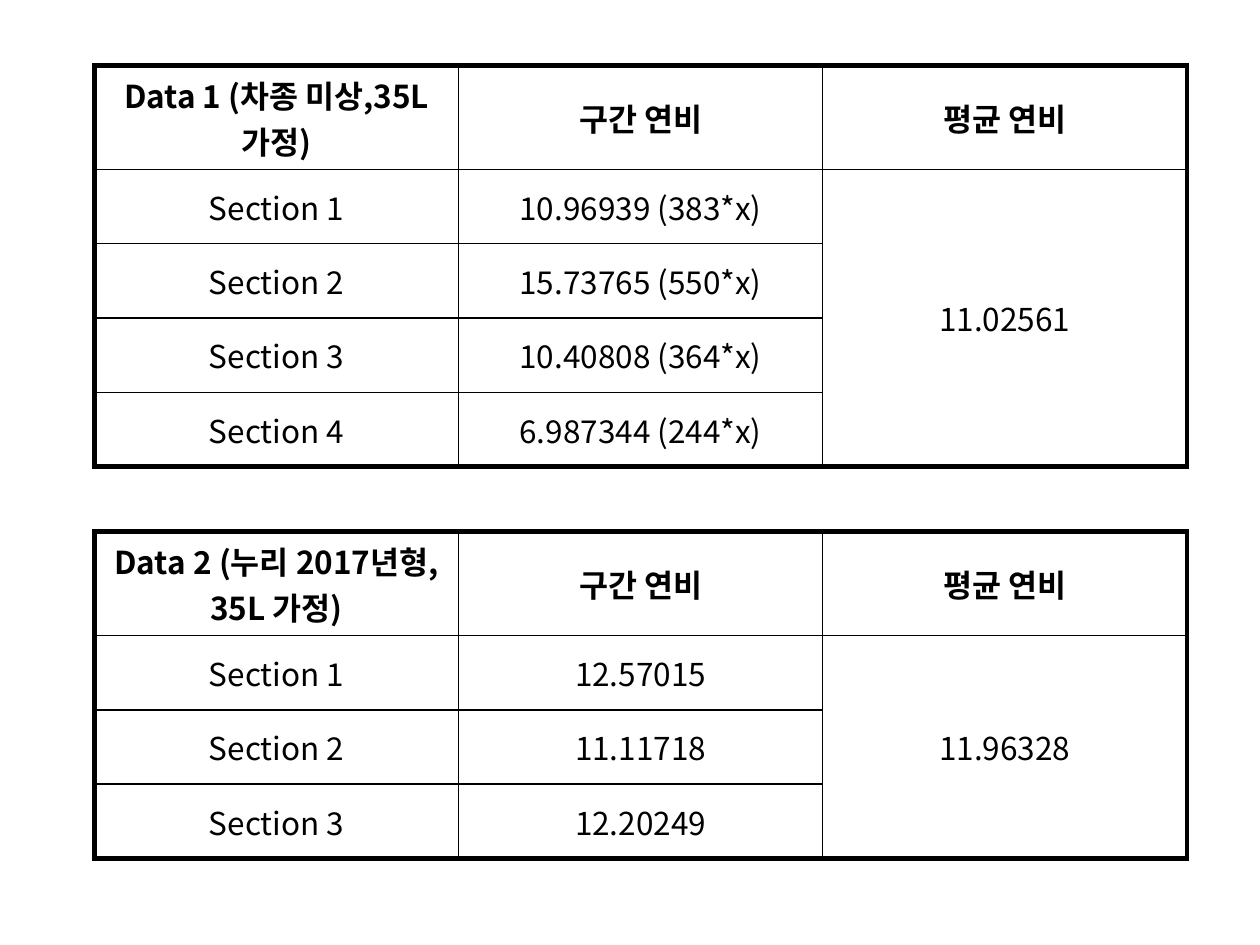
from lxml.etree import SubElement
from pptx import Presentation
from pptx.dml.color import RGBColor
from pptx.enum.text import MSO_ANCHOR, PP_ALIGN
from pptx.oxml.ns import qn
from pptx.util import Inches, Pt

COLORS = {"ink": "000000", "paper": "FFFFFF"}
FONT = "Noto Sans CJK KR"
OUTER, INNER = Pt(3), Pt(1)
COLUMN_WIDTH, ROW_HEIGHT = Inches(2.89), Inches(0.59)

# Top edge, title, section values, average
DATASETS = [
    (0.52, "Data 1 (차종 미상,35L 가정)",
     ["10.96939 (383*x)", "15.73765 (550*x)", "10.40808 (364*x)", "6.987344 (244*x)"],
     "11.02561"),
    (4.22, "Data 2 (누리 2017년형, 35L 가정)",
     ["12.57015", "11.11718", "12.20249"],
     "11.96328"),
]


def add_border(cell, side, width):
    line = SubElement(cell._tc.get_or_add_tcPr(), qn(f"a:ln{side}"), w=str(width))
    fill = SubElement(line, qn("a:solidFill"))
    SubElement(fill, qn("a:srgbClr"), val=COLORS["ink"])


def write_cell(cell, text, bold):
    paragraph = cell.text_frame.paragraphs[0]
    paragraph.alignment = PP_ALIGN.CENTER
    run = paragraph.add_run()
    run.text = text
    run.font.size = Pt(18)
    run.font.bold = bold
    run.font.name = FONT
    run.font.color.rgb = RGBColor.from_string(COLORS["ink"])
    SubElement(run.font._element, qn("a:ea"), typeface=FONT)


prs = Presentation()
prs.slide_width, prs.slide_height = Inches(10), Inches(7.5)
slide = prs.slides.add_slide(prs.slide_layouts[6])

for top, title, sections, average in DATASETS:
    rows = [[title, "구간 연비", "평균 연비"]]
    for number, economy in enumerate(sections, 1):
        rows.append([f"Section {number}", economy, average if number == 1 else ""])
    last_row, last_col = len(rows) - 1, len(rows[0]) - 1

    table = slide.shapes.add_table(
        len(rows), len(rows[0]), Inches(0.75), Inches(top),
        COLUMN_WIDTH * len(rows[0]), ROW_HEIGHT * len(rows)).table
    table.first_row = table.horz_banding = False
    for column in table.columns:
        column.width = COLUMN_WIDTH
    for row in table.rows:
        row.height = ROW_HEIGHT
    table.cell(1, last_col).merge(table.cell(last_row, last_col))

    for r, texts in enumerate(rows):
        for c, text in enumerate(texts):
            cell = table.cell(r, c)
            cell.vertical_anchor = MSO_ANCHOR.MIDDLE
            bottom_row = r + cell.span_height - 1 if cell.is_merge_origin else r
            on_outline = {"L": c == 0, "R": c == last_col,
                          "T": r == 0, "B": bottom_row == last_row}
            for side, outside in on_outline.items():
                add_border(cell, side, OUTER if outside else INNER)
            cell.fill.solid()
            cell.fill.fore_color.rgb = RGBColor.from_string(COLORS["paper"])
            if text:
                write_cell(cell, text, bold=r == 0)

prs.save("out.pptx")
